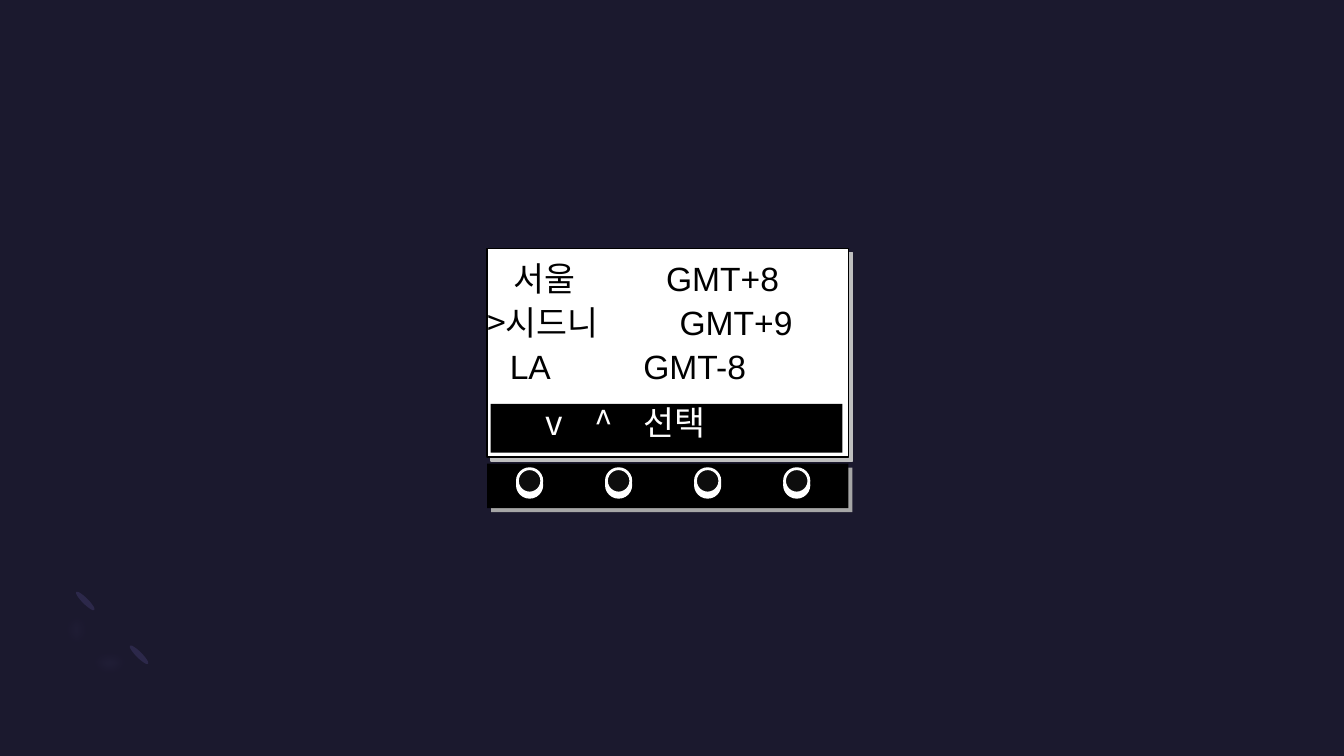
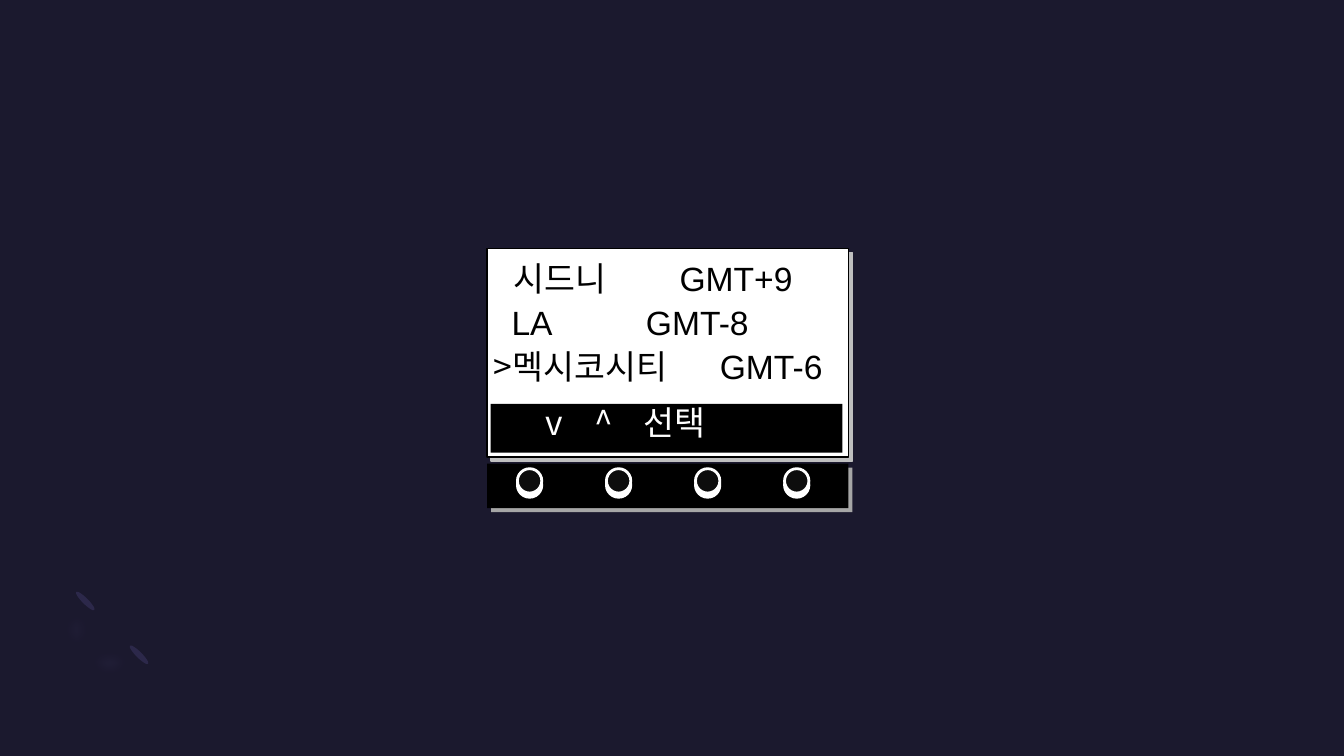
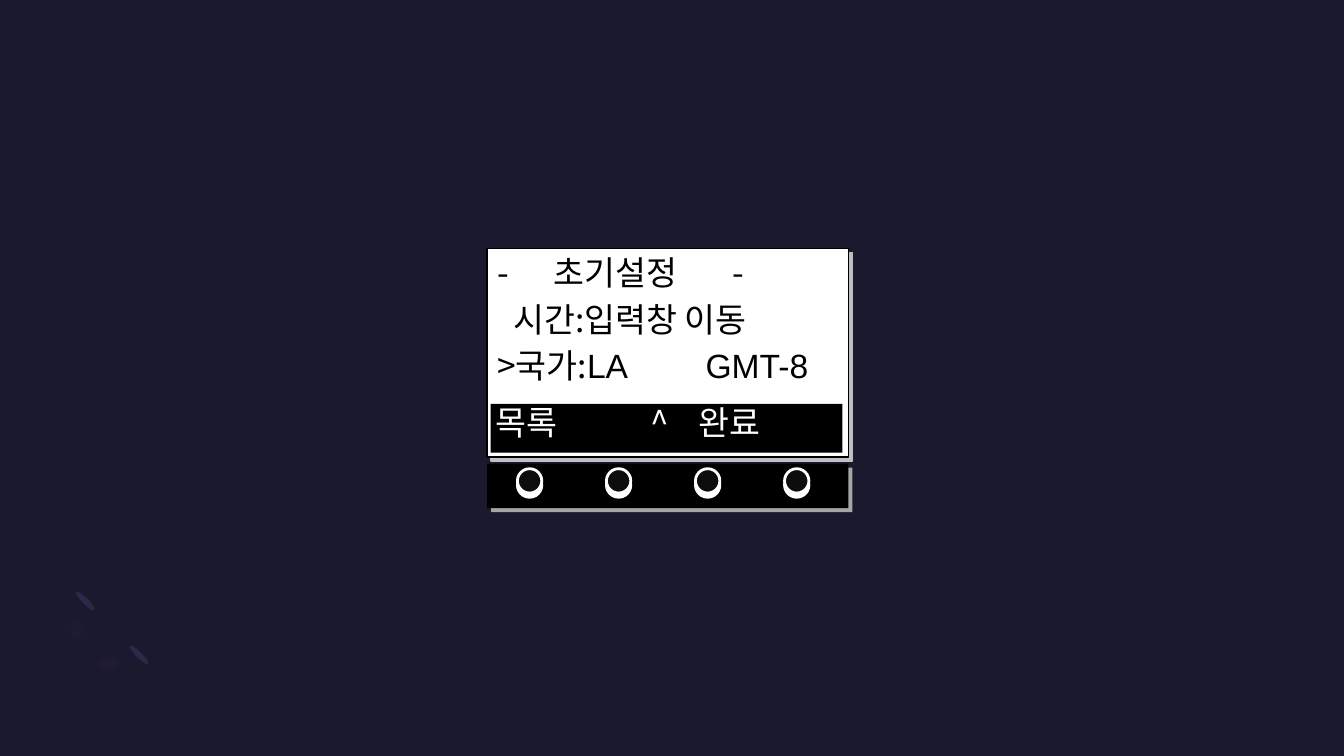
from dataclasses import dataclass

from lxml import etree
from pptx import Presentation
from pptx.dml.color import RGBColor
from pptx.enum.shapes import MSO_SHAPE
from pptx.enum.text import MSO_AUTO_SIZE, MSO_ANCHOR, PP_ALIGN
from pptx.oxml.ns import qn
from pptx.util import Inches, Pt

RECT, OVAL = MSO_SHAPE.RECTANGLE, MSO_SHAPE.OVAL
GROW, TOP, LEFT = MSO_AUTO_SIZE.SHAPE_TO_FIT_TEXT, MSO_ANCHOR.TOP, PP_ALIGN.LEFT

# The grid has 160 columns and 90 rows of square cells.
COLS, ROWS = 160, 90
SCREEN_COL, SCREEN_COLS = 58, 43
BUTTON_COUNT, BUTTON_COL, BUTTON_STEP = 4, 61.6, 10.6
STEPS = 12

# Start point, then curves of three points and straight lines of one.
ARC_START = (9.1, 79.1)
ARC = [
    [(6.7, 76.7), (7, 72.6), (9.7, 69.8)],
    [(11.9, 72)],
    [(10.4, 73.3), (10.3, 75.5), (11.5, 76.6)],
    [(12.7, 77.8), (14.8, 77.6), (16.2, 76.3)],
    [(18.2, 78.5)],
    [(15.6, 81.1), (11.4, 81.5), ARC_START],
]


@dataclass(frozen=True)
class Theme:
    night: str = "1B192E"
    petal: str = "2C284A"
    arc: str = "7771B2"
    ink: str = "000000"
    paper: str = "FFFFFF"
    button: str = "0D0D0D"
    screen_shadow: str = "BFBFBF"
    panel_shadow: str = "A6A6A6"
    hangul: str = "Noto Sans CJK KR"
    latin: str = "Arial"
    size: int = 24
    spacing: float = 0.9


def grid(cells):
    return Inches(cells / 12)


def rgb(value):
    return RGBColor.from_string(value)


def curve(p0, p1, p2, p3):
    """Points along a cubic curve, without its first point."""
    for i in range(1, STEPS + 1):
        t = i / STEPS
        u = 1 - t
        yield tuple(u**3 * a + 3 * u * u * t * b + 3 * u * t * t * c + t**3 * d
                    for a, b, c, d in zip(p0, p1, p2, p3))


def add_effect(sp, tag, **attrs):
    effects = sp.element.spPr.find(qn("a:effectLst"))
    return etree.SubElement(effects, qn(tag), {k: str(v) for k, v in attrs.items()})


def add_shadow(sp, color, dist, angle):
    shadow = add_effect(sp, "a:outerShdw", blurRad=0, dist=Pt(dist),
                        dir=angle * 60000, algn="tl", rotWithShape=0)
    etree.SubElement(shadow, qn("a:srgbClr"), val=color)


class Deck:
    """Theme, presentation and the slide being drawn."""

    def __init__(self, theme):
        self.theme = theme
        self.prs = Presentation()
        self.prs.slide_width, self.prs.slide_height = grid(COLS), grid(ROWS)
        self.s = None

    def new_slide(self):
        self.s = self.prs.slides.add_slide(self.prs.slide_layouts[6])
        if len(self.prs.slides) == 1:
            self.decorate_master()

    def decorate_master(self):
        """Set the backdrop and move the ornament from the slide to the master."""
        master = self.prs.slide_master
        fill = master.background.fill
        fill.solid()
        fill.fore_color.rgb = rgb(self.theme.night)
        ornament = [self.petal(16.2, 76.4), self.petal(9.8, 70), self.arc()]
        for number, sp in enumerate(ornament, 100):
            sp.element.nvSpPr.cNvPr.set("id", str(number))
            master.shapes.element.append(sp.element)

    def paint(self, sp, fill, line=None, width=1):
        sp.shadow.inherit = False
        sp.fill.solid()
        sp.fill.fore_color.rgb = rgb(fill)
        if line:
            sp.line.color.rgb = rgb(line)
            sp.line.width = Pt(width)
        else:
            sp.line.fill.background()
        return sp

    def shape(self, kind, box, fill, line=None, width=1, parent=None):
        shapes = (parent or self.s).shapes
        sp = shapes.add_shape(kind, *map(grid, box))
        return self.paint(sp, fill, line, width)

    def petal(self, col, row):
        sp = self.shape(OVAL, (col, row, 0.7, 3.1), self.theme.petal)
        sp.rotation = 135
        return sp

    def arc(self):
        """Faint crescent with soft edges."""
        points = [ARC_START]
        for part in ARC:
            points += curve(points[-1], *part) if len(part) == 3 else part
        first, *rest = [(grid(x), grid(y)) for x, y in points]
        builder = self.s.shapes.build_freeform(*first)
        builder.add_line_segments(rest, close=True)
        sp = self.paint(builder.convert_to_shape(), self.theme.arc)
        color = sp.element.spPr.find(".//" + qn("a:srgbClr"))
        etree.SubElement(color, qn("a:alpha"), val="20000")
        add_effect(sp, "a:softEdge", rad=Pt(8))
        return sp

    def screen(self):
        t = self.theme
        group = self.s.shapes.add_group_shape()
        sp = self.shape(RECT, (SCREEN_COL, 29.6, SCREEN_COLS, 24.8), t.paper, t.ink, parent=group)
        add_shadow(sp, t.screen_shadow, 4, 45)
        self.shape(RECT, (SCREEN_COL + 0.4, 48.1, 41.9, 5.8), t.ink, parent=group)

    def button_panel(self):
        t = self.theme
        sp = self.shape(RECT, (SCREEN_COL, 55.2, SCREEN_COLS, 5.3), t.ink)
        add_shadow(sp, t.panel_shadow, 4, 45)
        for i in range(BUTTON_COUNT):
            box = (BUTTON_COL + i * BUTTON_STEP, 55.8, 2.9, 2.9)
            add_shadow(self.shape(OVAL, box, t.button, t.paper, 2), t.paper, 3, 90)

    def text_line(self, row, pieces, color):
        """One line of (column, text) pieces; column None joins the piece before."""
        start = pieces[0][0]
        tb = self.s.shapes.add_textbox(*map(grid, (start, row, SCREEN_COLS, 6)))
        tf = tb.text_frame
        tf.word_wrap, tf.auto_size, tf.vertical_anchor = True, GROW, TOP
        tf.margin_left = tf.margin_right = 0
        p = tf.paragraphs[0]
        stops = [col for col, _ in pieces[1:] if col is not None]
        if stops:
            tabs = etree.SubElement(p._p.get_or_add_pPr(), qn("a:tabLst"))
            for col in stops:
                etree.SubElement(tabs, qn("a:tab"), pos=str(grid(col - start)), algn="l")
        p.alignment, p.line_spacing = LEFT, self.theme.spacing
        for i, (col, text) in enumerate(pieces):
            r = p.add_run()
            r.text = "\t" + text if i and col is not None else text
            self.format_run(r, color, text[0].isupper())

    def format_run(self, r, color, is_latin):
        face = self.theme.latin if is_latin else self.theme.hangul
        r.font.size = Pt(self.theme.size)
        r.font.color.rgb = rgb(color)
        r.font.name = face
        etree.SubElement(r._r.get_or_add_rPr(), qn("a:ea"), typeface=face)

    def device(self, lines, keys, top=30.7, pitch=5.2):
        """A slide with the device: screen lines, soft keys and buttons."""
        self.new_slide()
        self.screen()
        for i, pieces in enumerate(lines):
            self.text_line(top + i * pitch, pieces, self.theme.ink)
        self.text_line(47.8, keys, self.theme.paper)
        self.button_panel()


def main():
    deck = Deck(Theme())
    select_keys = [(65, "v"), (70.8, "^"), (76.6, "선택")]
    deck.device([
        [(61.1, "서울"), (79.3, "GMT+8")],
        [(58, ">시드니"), (80.9, "GMT+9")],
        [(60.7, "LA"), (76.6, "GMT-8")],
    ], select_keys)
    deck.device([
        [(61.1, "시드니"), (80.9, "GMT+9")],
        [(60.9, "LA"), (76.9, "GMT-8")],
        [(58.8, ">멕시코시티"), (85.7, "GMT-6")],
    ], select_keys)
    deck.device([
        [(59.2, "-"), (65.9, "초기설정"), (87.2, "-")],
        [(61.1, "시간:입력창 이동")],
        [(59.2, ">국가:"), (None, "LA"), (84, "GMT-8")],
    ], [(59, "목록"), (77.4, "^"), (83.2, "완료")], top=30, pitch=5.5)
    deck.prs.save("out.pptx")


if __name__ == "__main__":
    main()
